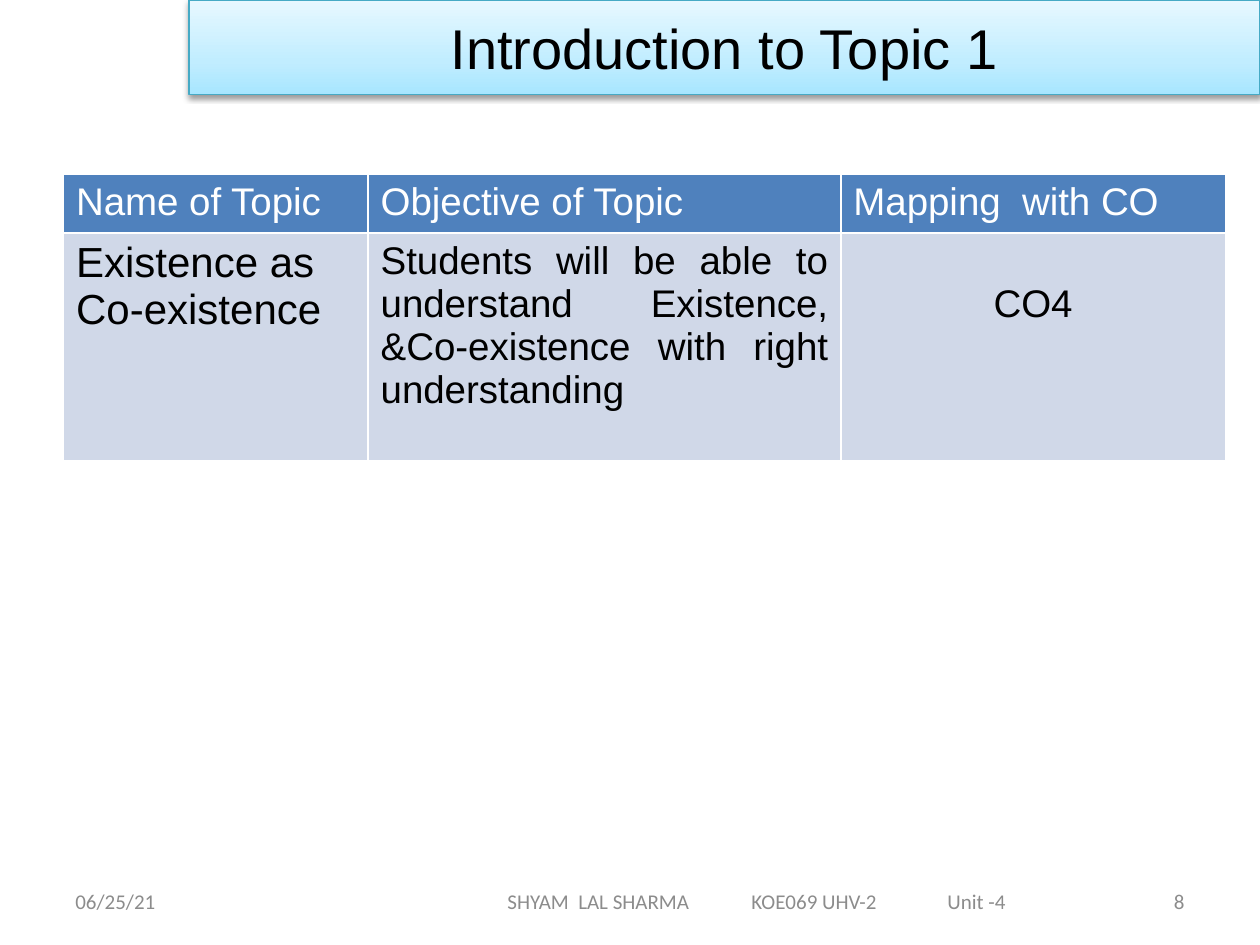
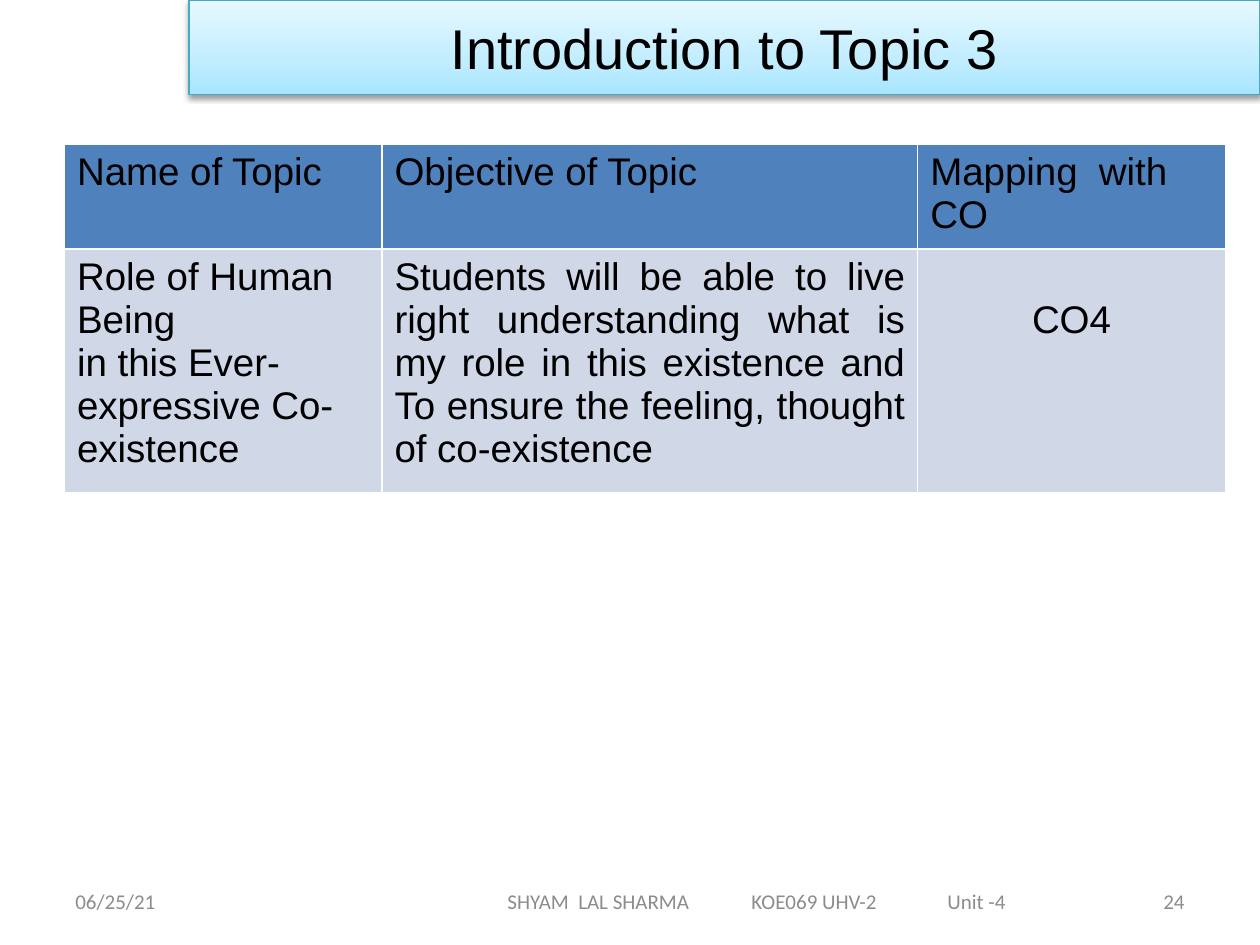
import pptx
import pptx.dml.color
import pptx.enum.shapes
import pptx.enum.text
import pptx.oxml
import pptx.oxml.ns
import pptx.util

Cm = pptx.util.Cm
Pt = pptx.util.Pt
Align = pptx.enum.text.PP_ALIGN
Anchor = pptx.enum.text.MSO_ANCHOR

HEX = {
    "ink": "000000",
    "white": "FFFFFF",
    "gray": "8C8C8C",
    "head": "4F81BD",
    "body": "D0D8E8",
    "edge": "46AAC5",
}
GRADE = [(0, "A7E6FF"), (35, "C1EDFF"), (100, "E7F8FF")]

DATE = "06/25/21"
COURSE = ["SHYAM  LAL SHARMA", "KOE069 UHV-2", "Unit -4"]
STOPS = [4.92, 8.87]
HEADS = ["Name of Topic", "Objective of Topic", "Mapping  with CO"]

TOPICS = [
    {
        "title": "Introduction to Topic 1",
        "page": "8",
        "cells": [
            "Existence as Co-existence",
            "Students will be able to understand Existence, "
            "&Co-existence with right understanding",
            "CO4",
        ],
        "spot": (1.28, 3.51),
        "cols": [6.14, 9.53, 7.75],
        "rows": [1.11, 4.6],
        "ink": "white",
        "size": 24,
    },
    {
        "title": "Introduction to Topic 3",
        "page": "24",
        "cells": [
            "Role of Human Being\nin this Ever-expressive Co-existence",
            "Students will be able to live right understanding what is my role "
            "in this existence and To ensure the feeling, thought of co-existence",
            "CO4",
        ],
        "spot": (1.3, 2.9),
        "cols": [6.4, 10.8, 6.2],
        "rows": [1.97, 4.6],
        "ink": "ink",
        "size": 22,
    },
]

TITLE = {"name": "Arial", "size": Pt(32), "bold": False}
CELL = {"name": "Arial", "size": Pt(22), "bold": False}
FOOT = {"name": "Calibri", "size": Pt(12), "bold": False}


def color(key):
    return pptx.dml.color.RGBColor.from_string(HEX[key])


def xml(tag, inner, attrs=""):
    space = pptx.oxml.ns.nsdecls("a")
    return pptx.oxml.parse_xml(f"<a:{tag} {space} {attrs}>{inner}</a:{tag}>")


def write(frame, text, look, ink, align):
    frame.text = text
    frame.word_wrap = True
    for para in frame.paragraphs:
        para.alignment = align
        for run in para.runs:
            for key, value in look.items():
                setattr(run.font, key, value)
            run.font.color.rgb = color(ink)


def band(slide, title):
    shape = slide.shapes.add_shape(
        pptx.enum.shapes.MSO_SHAPE.RECTANGLE, Cm(3.81), 0, Cm(21.59), Cm(1.91)
    )
    stops = "".join(
        f'<a:gs pos="{pos * 1000}"><a:srgbClr val="{tone}"/></a:gs>'
        for pos, tone in GRADE
    )
    props = shape._element.spPr
    props.append(xml("gradFill", f'<a:gsLst>{stops}</a:gsLst><a:lin ang="16200000" scaled="0"/>'))
    shape.line.color.rgb = color("edge")
    shape.line.width = Pt(0.75)
    props.append(xml(
        "effectLst",
        '<a:outerShdw blurRad="40000" dist="20000" dir="5400000" rotWithShape="0">'
        f'<a:srgbClr val="{HEX["ink"]}"><a:alpha val="38000"/></a:srgbClr></a:outerShdw>',
    ))
    shape.text_frame.vertical_anchor = Anchor.MIDDLE
    write(shape.text_frame, title, TITLE, "ink", Align.CENTER)


def foot(slide, left, width, text, align):
    box = slide.shapes.add_textbox(Cm(left), Cm(17.65), Cm(width), Cm(1.02))
    box.text_frame.vertical_anchor = Anchor.MIDDLE
    write(box.text_frame, text, FOOT, "gray", align)
    return box.text_frame


def footer(slide, page):
    foot(slide, 1.27, 5.93, DATE, Align.LEFT)
    foot(slide, 18.2, 5.93, page, Align.RIGHT)
    frame = foot(slide, 7.92, 14.68, "\t".join(COURSE), Align.LEFT)
    frame.margin_left = Cm(2.31)
    tabs = "".join(f'<a:tab pos="{Cm(stop)}" algn="l"/>' for stop in STOPS)
    frame.paragraphs[0]._p.get_or_add_pPr().append(xml("tabLst", tabs))


def paint(cell, fill):
    cell.fill.solid()
    cell.fill.fore_color.rgb = color(fill)
    line = f'<a:solidFill><a:srgbClr val="{HEX["white"]}"/></a:solidFill>'
    for spot, side in enumerate("LRTB"):
        cell._tc.tcPr.insert(spot, xml(f"ln{side}", line, f'w="{Pt(1)}"'))


def grid(slide, topic):
    left, top = topic["spot"]
    cols, rows = topic["cols"], topic["rows"]
    table = slide.shapes.add_table(
        len(rows), len(cols), Cm(left), Cm(top), Cm(sum(cols)), Cm(sum(rows))
    ).table
    for row, high in zip(table.rows, rows):
        row.height = Cm(high)
    aligns = [Align.LEFT, Align.JUSTIFY, Align.CENTER]
    sizes = [topic["size"], 22, 22]
    for col, wide in enumerate(cols):
        table.columns[col].width = Cm(wide)
        head, body = table.cell(0, col), table.cell(1, col)
        write(head.text_frame, HEADS[col], CELL, topic["ink"], Align.LEFT)
        look = {**CELL, "size": Pt(sizes[col])}
        write(body.text_frame, topic["cells"][col], look, "ink", aligns[col])
        paint(head, "head")
        paint(body, "body")
    table.cell(1, 2).margin_top = Cm(1)


def main():
    deck = pptx.Presentation()
    deck.slide_width, deck.slide_height = Cm(25.4), Cm(19.05)
    for topic in TOPICS:
        slide = deck.slides.add_slide(deck.slide_layouts[6])
        footer(slide, topic["page"])
        band(slide, topic["title"])
        grid(slide, topic)
    deck.save("out.pptx")


if __name__ == "__main__":
    main()
